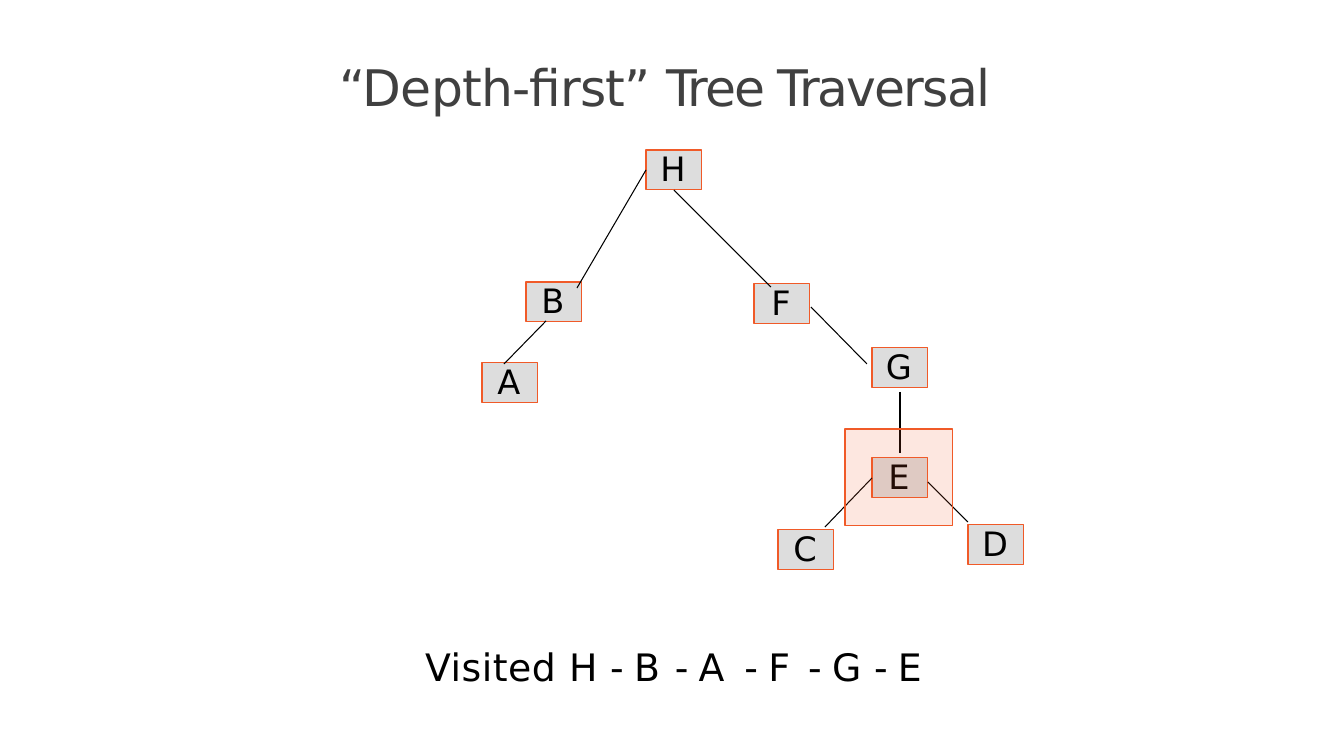
import dataclasses

import lxml.etree
import pptx
import pptx.dml.color
import pptx.enum.shapes
import pptx.enum.text
import pptx.oxml.ns
import pptx.util

EMU_PER_PX = 914400 / 75.6
NODE_WIDTH, NODE_HEIGHT = 56, 40
BOTTOM, LEFT = 2, 1


def px(length):
    return pptx.util.Emu(round(length * EMU_PER_PX))


def rgb(code):
    return pptx.dml.color.RGBColor.from_string(code)


@dataclasses.dataclass(frozen=True)
class Theme:
    font: str = "DejaVu Sans"
    title_color: str = "404040"
    ink: str = "000000"
    node_fill: str = "DDDDDD"
    outline: str = "F05A28"
    highlight: str = "F15B2A"
    highlight_percent: int = 14
    title_size: int = 48
    caption_size: int = 36
    node_size: int = 32
    line_width: int = 1


class TreeSlide:
    def __init__(self, page, theme):
        self.page = page
        self.theme = theme

    def style_paragraph(self, para, size, color):
        para.font.name = self.theme.font
        para.font.size = pptx.util.Pt(size)
        para.font.color.rgb = rgb(color)

    def text(self, left, top, width, height, spans, size, color):
        """Add one line of text; spans are (text, letter spacing in points)."""
        box = self.page.shapes.add_textbox(px(left), px(top), px(width), px(height))
        frame = box.text_frame
        frame.word_wrap = True
        frame.margin_left, frame.margin_top = px(1), px(2)
        frame.margin_right = frame.margin_bottom = 0
        para = frame.paragraphs[0]
        for wording, spacing in spans:
            span = para.add_run()
            span.text = wording
            span._r.get_or_add_rPr().set("spc", str(round(spacing * 100)))
        self.style_paragraph(para, size, color)

    def rectangle(self, left, top, width, height, fill):
        box = self.page.shapes.add_shape(
            pptx.enum.shapes.MSO_SHAPE.RECTANGLE, px(left), px(top), px(width), px(height))
        box.shadow.inherit = False
        box.fill.solid()
        box.fill.fore_color.rgb = rgb(fill)
        box.line.color.rgb = rgb(self.theme.outline)
        box.line.width = pptx.util.Pt(self.theme.line_width)
        return box

    def node(self, letter, left, top):
        box = self.rectangle(left, top, NODE_WIDTH, NODE_HEIGHT, self.theme.node_fill)
        frame = box.text_frame
        frame.word_wrap = False
        frame.vertical_anchor = pptx.enum.text.MSO_ANCHOR.MIDDLE
        frame.margin_left = frame.margin_top = 0
        frame.margin_right, frame.margin_bottom = px(2), px(4)
        para = frame.paragraphs[0]
        para.text = letter
        para.alignment = pptx.enum.text.PP_ALIGN.CENTER
        self.style_paragraph(para, self.theme.node_size, self.theme.ink)
        return box

    def edge(self, start, end, parent=None, side=None):
        """Draw a line, joined to a side of the parent node when one is given."""
        line = self.page.shapes.add_connector(
            pptx.enum.shapes.MSO_CONNECTOR.STRAIGHT, *map(px, start + end))
        line.line.color.rgb = rgb(self.theme.ink)
        line.line.width = pptx.util.Pt(self.theme.line_width)
        lxml.etree.SubElement(line._element.spPr, pptx.oxml.ns.qn("a:effectLst"))
        if parent is not None:
            line.begin_connect(parent, side)

    def highlight(self, left, top, width, height):
        box = self.rectangle(left, top, width, height, self.theme.highlight)
        color = box._element.spPr.find(".//" + pptx.oxml.ns.qn("a:srgbClr"))
        alpha = lxml.etree.SubElement(color, pptx.oxml.ns.qn("a:alpha"))
        alpha.set("val", str(self.theme.highlight_percent * 1000))


NODES = {
    "A": (482, 363), "B": (526, 282), "F": (754, 284), "H": (646, 150),
    "D": (968, 525), "E": (872, 458), "C": (778, 530), "G": (872, 348),
}
# Start, end, and the parent node and side where the line is joined.
EDGES = [
    ((546, 321), (504, 364), None, None),
    ((646, 170), (577, 288), "H", LEFT),
    ((674, 190), (771, 287), "H", BOTTOM),
    ((872, 478), (825, 527), "E", LEFT),
    ((928, 482), (968, 522), None, None),
    ((900, 392), (900, 453), None, None),
    ((811, 307), (867, 364), None, None),
]
VISITED = {"H": 0.3, "B": 1.3, "A": 3.8, "F": 2.9, "G": 0.3, "E": 1.4}
DASH = ("- ", -1.7)


def visited_spans():
    spans = [("Visited ", 0.5)]
    for letter, spacing in VISITED.items():
        spans += [(letter + " ", spacing), DASH]
    spans.pop()
    spans[-1] = (spans[-1][0].strip(), spans[-1][1])
    return spans


def main():
    deck = pptx.Presentation()
    deck.slide_width, deck.slide_height = px(1344), px(756)
    theme = Theme()
    tree = TreeSlide(deck.slides.add_slide(deck.slide_layouts[6]), theme)

    tree.text(338, 54, 668, 63, [("“Depth-first” ", -0.7), ("Tree Traversal", -1.8)],
              theme.title_size, theme.title_color)
    nodes = {letter: tree.node(letter, *place) for letter, place in NODES.items()}
    for start, end, parent, side in EDGES:
        tree.edge(start, end, nodes.get(parent), side)
    tree.highlight(845, 429, 108, 97)
    tree.text(424, 642, 500, 48, visited_spans(), theme.caption_size, theme.ink)

    deck.save("out.pptx")


if __name__ == "__main__":
    main()
